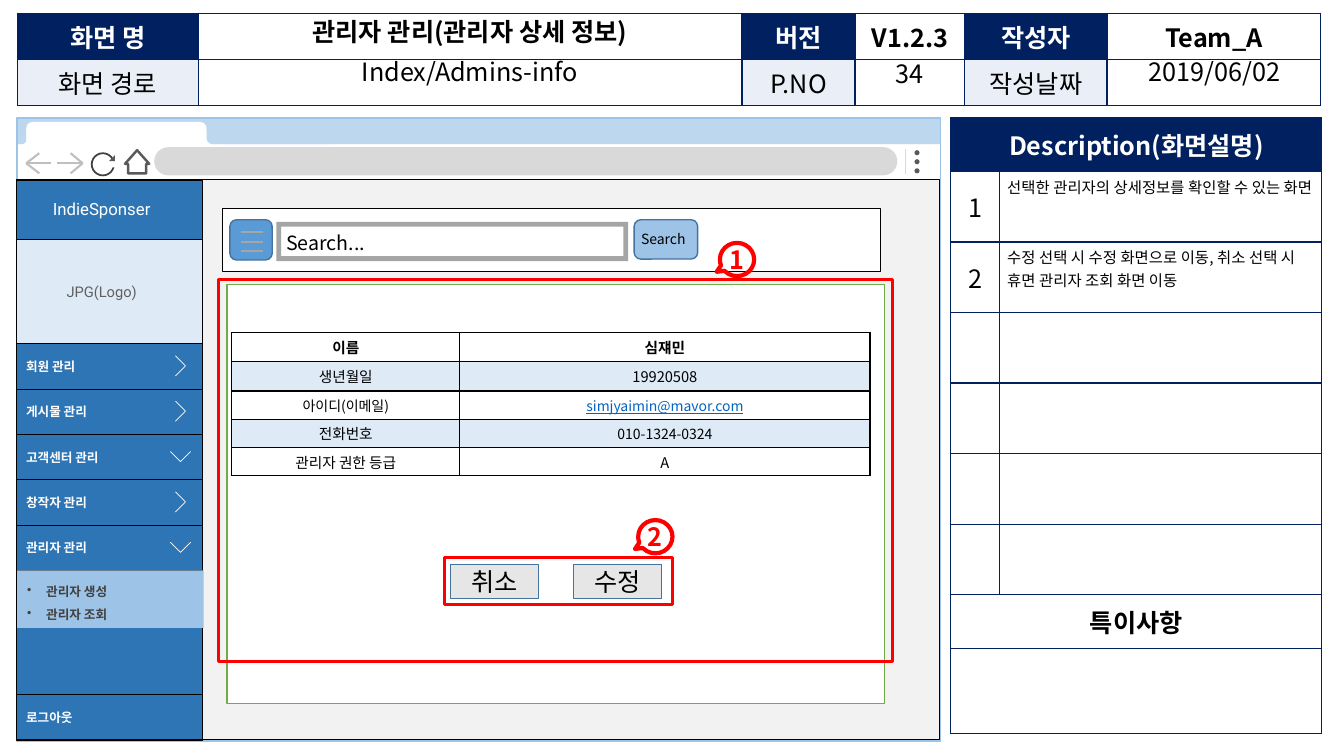
"""Build the admin detail screen specification slide."""
import lxml.etree
import pptx
import pptx.dml.color
import pptx.enum.shapes
import pptx.enum.text
import pptx.oxml.ns
import pptx.util

Inches = pptx.util.Inches
Pt = pptx.util.Pt
qn = pptx.oxml.ns.qn
Kind = pptx.enum.shapes.MSO_SHAPE
Align = pptx.enum.text.PP_ALIGN
Anchor = pptx.enum.text.MSO_ANCHOR
FONT = "Noto Sans CJK KR"
INK = {
    "white": "FFFFFF", "black": "000000", "navy": "002060", "pale": "EAEFF7",
    "sky": "BDD7EE", "ice": "DEEBF7", "blue": "2E75B6", "soft": "9DC3E6",
    "mid": "5B9BD5", "edge": "43739E", "page": "F2F2F2", "pearl": "E7E6E6",
    "bar": "D9D9D9", "silver": "BFBFBF", "ash": "A5A5A5", "stone": "5F5F5F",
    "gray": "595959", "dark": "404040", "red": "FF0000", "green": "70AD47",
    "link": "0563C1",
}


def draw(kind, box, fill=None, line=None, width=1, bend=None):
    shape = slide.shapes.add_shape(kind, *map(Inches, box))
    shape.shadow.inherit = False
    if fill:
        shape.fill.solid()
        shape.fill.fore_color.rgb = pptx.dml.color.RGBColor.from_string(INK[fill])
    else:
        shape.fill.background()
    if line:
        shape.line.color.rgb = pptx.dml.color.RGBColor.from_string(INK[line])
        shape.line.width = Pt(width)
    else:
        shape.line.fill.background()
    for i, value in enumerate(bend or []):
        shape.adjustments[i] = value
    shape.text_frame.vertical_anchor = Anchor.MIDDLE
    return shape


def write(para, text, size, ink="black", bold=False, align=Align.CENTER, font=FONT):
    para.alignment = align
    run = para.add_run()
    run.text = text
    run.font.size = Pt(size)
    run.font.bold = bold
    run.font.name = font
    run.font.color.rgb = pptx.dml.color.RGBColor.from_string(INK[ink])
    lxml.etree.SubElement(run._r.get_or_add_rPr(), qn("a:ea"), typeface=FONT)
    return run


deck = pptx.Presentation()
deck.slide_width, deck.slide_height = Inches(13.33), Inches(7.5)
slide = deck.slides.add_slide(deck.slide_layouts[3])

heads = [
    ("관리자 관리(관리자 상세 정보)", (1.97, 0.14, 5.38, 0.38), True),
    ("Index/Admins-info", (1.97, 0.54, 5.38, 0.38), False),
    ("2019/06/02", (10.99, 0.54, 2.11, 0.38), False),
]
for i, (text, box, bold) in enumerate(heads):
    hold = slide.placeholders[i]
    hold.left, hold.top, hold.width, hold.height = map(Inches, box)
    frame = hold.text_frame
    frame.auto_size = pptx.enum.text.MSO_AUTO_SIZE.NONE
    frame.vertical_anchor = Anchor.MIDDLE
    para = frame.paragraphs[0]
    para.line_spacing = 0.9
    para.space_before = Pt(0)
    props = para._p.get_or_add_pPr()
    props.set("marL", "0")
    props.set("indent", "0")
    lxml.etree.SubElement(props, qn("a:buNone"))
    write(para, text, 18, bold=bold)

draw(Kind.RECTANGLE, (0.17, 1.42, 9.16, 0.37), "white", "black", 0.5)
draw(Kind.ROUNDED_RECTANGLE, (1.53, 1.46, 7.37, 0.28), "bar", bend=[0.5])
for i in range(3):
    draw(Kind.OVAL, (9.07, 1.49 + 0.09 * i, 0.05, 0.05), "gray")
draw(Kind.RECTANGLE, (0.17, 1.17, 9.16, 0.26), "sky")
draw(Kind.OVAL, (0.91, 1.52, 0.22, 0.22), None, "dark", 1.25)
draw(Kind.RECTANGLE, (1.09, 1.58, 0.08, 0.08), "white")
draw(Kind.ISOSCELES_TRIANGLE, (1.08, 1.54, 0.06, 0.06), "gray", bend=[1])
home = draw(Kind.DOWN_ARROW, (1.24, 1.49, 0.24, 0.23), "white", "gray", 1.75, [0.75, 0.586])
home.rotation = 180
tabs = [
    ((0.26, 1.21, 1.79, 0.23), "white", 0.276),
    ((1.88, 1.3, 0.34, 0.15), "white", 0.167),
    ((2.05, 1.23, 1.27, 0.2), "sky", 0.276),
    ((0.21, 1.3, 0.13, 0.15), "white", 0.167),
    ((0.17, 1.23, 0.09, 0.2), "sky", 0.462),
]
for box, fill, bend in tabs:
    draw(Kind.ROUNDED_RECTANGLE, box, fill, bend=[bend])
draw(Kind.RECTANGLE, (0.17, 1.17, 9.16, 6.18), None, "soft")

draw(Kind.RECTANGLE, (0.16, 1.78, 9.16, 5.56), "page", "black", 0.5)
side = draw(Kind.RECTANGLE, (0.16, 1.79, 1.85, 5.56), "blue", "black", 0.5).text_frame
side.vertical_anchor = Anchor.TOP
side.margin_top, side.margin_right = Inches(0.18), Inches(0.25)
write(side.paragraphs[0], "IndieSponser", 12, "white", font="Roboto")
logo = draw(Kind.RECTANGLE, (0.16, 2.38, 1.85, 1.03), "ice", "black", 0.5).text_frame
logo.margin_right = Inches(0.25)
write(logo.paragraphs[0], "JPG(Logo)", 10.5, "stone", font="Roboto")

menu = [
    ("회원 관리", 3.41, "right"), ("게시물 관리", 3.86, "right"),
    ("고객센터 관리", 4.31, "down"), ("창작자 관리", 4.76, "right"),
    ("관리자 관리", 5.21, "down"), ("로그아웃", 6.89, None),
]
marks = {
    "right": [(1.74, -0.1), (1.84, 0), (1.74, 0.1)],
    "down": [(1.69, -0.05), (1.79, 0.05), (1.89, -0.05)],
}
for text, top, mark in menu:
    item = draw(Kind.RECTANGLE, (0.16, top, 1.85, 0.45), "blue", "black", 0.5)
    write(item.text_frame.paragraphs[0], text, 9, "white", True, Align.LEFT, "Roboto")
    if mark:
        spots = [(Inches(x), Inches(top + 0.22 + y)) for x, y in marks[mark]]
        pen = slide.shapes.build_freeform(*spots[0])
        pen.add_line_segments(spots[1:], close=False)
        sign = pen.convert_to_shape()
        sign.shadow.inherit = False
        sign.fill.background()
        sign.line.color.rgb = pptx.dml.color.RGBColor.from_string(INK["white"])
        sign.line.width = Pt(0.5)

sub = draw(Kind.RECTANGLE, (0.17, 5.66, 1.85, 0.57), "soft").text_frame
for i, text in enumerate(["관리자 생성", "관리자 조회"]):
    para = sub.add_paragraph() if i else sub.paragraphs[0]
    para.line_spacing = 1.5
    props = para._p.get_or_add_pPr()
    props.set("marL", str(Inches(0.19)))
    props.set("indent", str(-Inches(0.19)))
    lxml.etree.SubElement(props, qn("a:buChar"), char="•")
    write(para, text, 9, "dark", True, Align.LEFT, "Roboto")

draw(Kind.RECTANGLE, (2.21, 2.07, 6.52, 0.62), "white", "black", 0.5)
draw(Kind.ROUNDED_RECTANGLE, (2.28, 2.18, 0.42, 0.4), "mid", "edge")
draw(Kind.FRAME, (2.74, 2.2, 3.49, 0.39), "ash", bend=[0.125])
draw(Kind.ROUNDED_RECTANGLE, (6.29, 2.18, 0.63, 0.39), "soft", "edge")
lines = [(8.98, 1.48, 8.98, 1.73, "bar", 1)]
for tip, tail, barb in [(0.26, 0.51, 0.39), (0.82, 0.57, 0.7)]:
    for x, y in [(tail, 1.62), (barb, 1.52), (barb, 1.72)]:
        lines.append((tip, 1.62, x, y, "silver", 1.5))
for y in (2.3, 2.4, 2.49):
    lines.append((2.39, y, 2.61, y, "ash", 1.5))
for *ends, ink, width in lines:
    line = slide.shapes.add_connector(
        pptx.enum.shapes.MSO_CONNECTOR.STRAIGHT, *map(Inches, ends))
    line.line.color.rgb = pptx.dml.color.RGBColor.from_string(INK[ink])
    line.line.width = Pt(width)
    lxml.etree.SubElement(line._element.spPr, qn("a:effectLst"))

notes = [
    ("Search...", (2.74, 2.24, 1.11, 0.34), 14, Align.LEFT),
    ("Search", (6.26, 2.24, 0.76, 0.27), 10, Align.LEFT),
    ("34", (8.48, 0.54, 1.08, 0.38), 18, Align.CENTER),
]
for text, box, size, align in notes:
    frame = slide.shapes.add_textbox(*map(Inches, box)).text_frame
    frame.word_wrap = True
    frame.vertical_anchor = Anchor.MIDDLE
    write(frame.paragraphs[0], text, size, align=align)

draw(Kind.RECTANGLE, (2.25, 2.82, 6.52, 4.16), "white", "green")
draw(Kind.RECTANGLE, (2.17, 2.77, 6.68, 3.79), None, "red", 2)
draw(Kind.RECTANGLE, (4.41, 5.53, 2.26, 0.47), None, "red", 2.25)
for text, left in [("취소", 4.47), ("수정", 5.69)]:
    key = draw(Kind.RECTANGLE, (left, 5.6, 0.87, 0.34), "pearl", "edge")
    write(key.text_frame.paragraphs[0], text, 18)
for text, left, top in [("1", 7.14, 2.41), ("2", 6.33, 5.16)]:
    call = draw(Kind.OVAL_CALLOUT, (left, top, 0.34, 0.33), None, "red", 3, [-0.593, 0.369])
    call.text_frame.word_wrap = False
    write(call.text_frame.paragraphs[0], text, 18, "red", True)

top = [
    (0, 0, "화면 명", 18, "white", True, "navy"), (0, 2, "버전", 18, "white", True, "navy"),
    (0, 3, "V1.2.3", 18, "black", True, None), (0, 4, "작성자", 18, "white", True, "navy"),
    (0, 5, "Team_A", 18, "black", True, None), (1, 0, "화면 경로", 18, "black", False, "pale"),
    (1, 2, "P.NO", 18, "black", False, "pale"), (1, 4, "작성날짜", 18, "black", False, "pale"),
]
guide = [
    (0, 0, "Description(화면설명)", 18, "white", True, "navy"),
    (1, 0, "1", 18, "black", False, None),
    (1, 1, "선택한 관리자의 상세정보를 확인할 수 있는 화면", 11, "black", False, None),
    (2, 0, "2", 18, "black", False, None),
    (2, 1, "수정 선택 시 수정 화면으로 이동, 취소 선택 시 휴면 관리자 조회 화면 이동", 11, "black", False, None),
    (7, 0, "특이사항", 18, "black", True, None),
]
facts = [
    ("이름", "심쟤민"), ("생년월일", "19920508"), ("아이디(이메일)", "simjyaimin@mavor.com"),
    ("전화번호", "010-1324-0324"), ("관리자 권한 등급", "A"),
]
info = [(r, c, text, 10 if r == 2 or (r, c) == (3, 1) else 10.5,
         "link" if "@" in text else "black", r == 0, "ice" if r % 2 else None)
        for r, pair in enumerate(facts) for c, text in enumerate(pair)]
grids = [
    (0.17, 0.13, [1.8, 5.39, 1.12, 1.09, 1.41, 2.12], [0.46] * 2, "navy", top, [], 0.05),
    (9.43, 1.17, [0.48, 3.2], [0.53] + [0.7] * 6 + [0.53, 0.85], "navy", guide, [0, 7, 8], 0.04),
    (2.3, 3.3, [2.26, 4.07], [0.29] * 2 + [0.28] * 3, "black", info, [], 0.02),
]
for x, y, cols, rows, edge, cells, spans, pad in grids:
    grid = slide.shapes.add_table(len(rows), len(cols), Inches(x), Inches(y),
                                  Inches(sum(cols)), Inches(sum(rows))).table
    grid.first_row = grid.horz_banding = False
    for col, width in zip(grid.columns, cols):
        col.width = Inches(width)
    for row, height in zip(grid.rows, rows):
        row.height = Inches(height)
    for r in spans:
        grid.cell(r, 0).merge(grid.cell(r, 1))
    for cell in grid.iter_cells():
        cell.margin_top = cell.margin_bottom = Inches(pad)
        cell.margin_left = cell.margin_right = Inches(0.08)
        cell.vertical_anchor = Anchor.MIDDLE
        for tag in ("a:lnL", "a:lnR", "a:lnT", "a:lnB"):
            rule = lxml.etree.SubElement(cell._tc.get_or_add_tcPr(), qn(tag), w=str(Pt(1)))
            paint = lxml.etree.SubElement(rule, qn("a:solidFill"))
            lxml.etree.SubElement(paint, qn("a:srgbClr"), val=INK[edge])
        cell.fill.background()
    for r, c, text, size, ink, bold, fill in cells:
        cell = grid.cell(r, c)
        long = size == 11
        if long:
            cell.vertical_anchor = Anchor.TOP
        if fill:
            cell.fill.solid()
            cell.fill.fore_color.rgb = pptx.dml.color.RGBColor.from_string(INK[fill])
        run = write(cell.text_frame.paragraphs[0], text, size, ink, bold,
                    Align.LEFT if long else Align.CENTER)
        run.font.underline = ink == "link"

deck.save("out.pptx")
